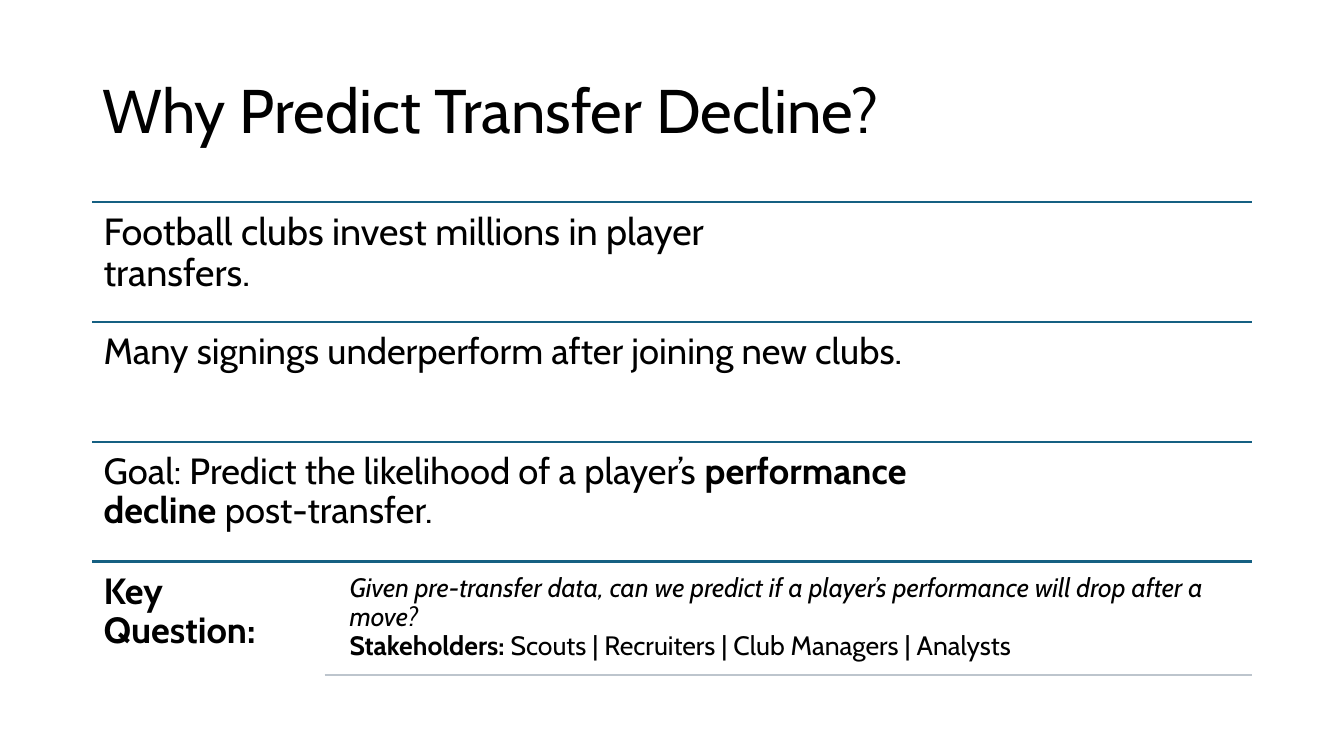
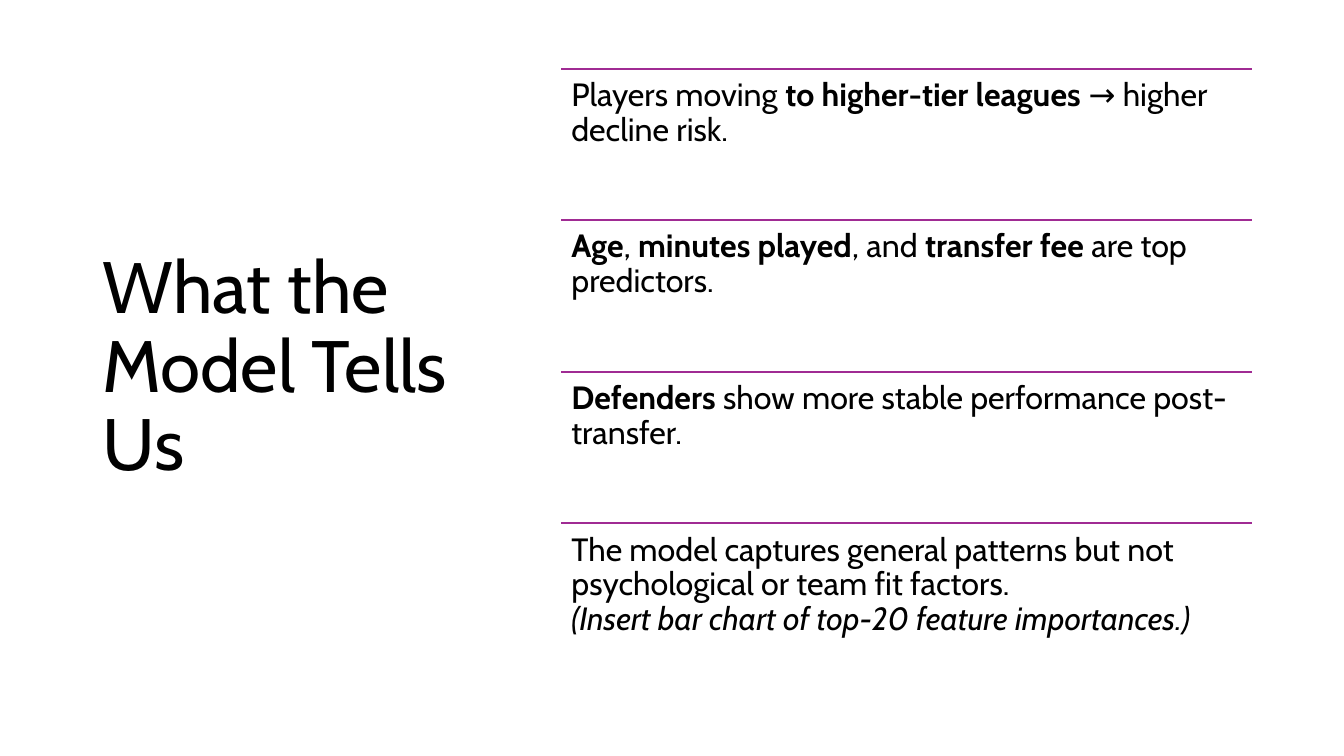
from dataclasses import dataclass

from lxml import etree
from pptx import Presentation
from pptx.dml.color import RGBColor
from pptx.enum import shapes, text
from pptx.oxml import ns
from pptx.util import Cm, Pt


@dataclass(frozen=True)
class Theme:
    font: str = "Cabin"
    ink: str = "000000"
    blue: str = "156082"
    plum: str = "A02B93"
    grey: str = "BDC5CD"
    rule: float = 1.5
    lead: float = 0.9
    head: int = 44
    big: int = 52
    first: int = 27
    row: int = 26
    note: int = 19
    item: int = 23
    left: float = 2.33
    right: float = 31.55


class Deck:
    """Builds slides of titles, rules and rich text in one style."""

    def __init__(self, theme):
        self.theme = theme
        self.prs = Presentation()
        self.prs.slide_width, self.prs.slide_height = Cm(33.87), Cm(19.05)
        self.slide = None

    def page(self, title, size, top, width, height):
        self.slide = self.prs.slides.add_slide(self.prs.slide_layouts[5])
        box = self.slide.shapes.title
        box.left, box.top = Cm(self.theme.left), Cm(top)
        box.width, box.height = Cm(width), Cm(height)
        self.fill(box.text_frame, [(title, "")], size, text.MSO_ANCHOR.MIDDLE)

    def fill(self, frame, runs, size, anchor=text.MSO_ANCHOR.TOP):
        frame.word_wrap = True
        frame.auto_size = text.MSO_AUTO_SIZE.NONE
        frame.vertical_anchor = anchor
        para = frame.paragraphs[0]
        para.alignment = text.PP_ALIGN.LEFT
        para.line_spacing = self.theme.lead
        for words, style in runs:
            if words == "\n":
                para.add_line_break()
                continue
            run = para.add_run()
            run.text = words
            font = run.font
            font.name, font.size = self.theme.font, Pt(size)
            font.color.rgb = RGBColor.from_string(self.theme.ink)
            font.bold, font.italic = style == "b", style == "i"

    def words(self, runs, size, left, top, width, height, pad):
        box = self.slide.shapes.add_textbox(Cm(left), Cm(top), Cm(width), Cm(height))
        frame = box.text_frame
        frame.margin_left = frame.margin_right = Cm(pad)
        frame.margin_top = frame.margin_bottom = Cm(pad)
        self.fill(frame, runs, size)

    def rule(self, left, top, color):
        line = self.slide.shapes.add_connector(
            shapes.MSO_CONNECTOR.STRAIGHT,
            Cm(left), Cm(top), Cm(self.theme.right), Cm(top))
        line.line.color.rgb = RGBColor.from_string(color)
        line.line.width = Pt(self.theme.rule)
        etree.SubElement(line._element.spPr, ns.qn("a:effectLst"))

    def rows(self, items, left, top, pitch, color, pad):
        for index, (runs, size, width) in enumerate(items):
            y = top + index * pitch
            self.rule(left, y, color)
            self.words(runs, size, left, y, width, pitch, pad)


def why(deck):
    look = deck.theme
    deck.page("Why Predict Transfer Decline?", look.head, 1.01, 29.22, 3.68)
    deck.rows([
        ([("Football clubs invest millions in player transfers.", "")],
         look.first, 18.57),
        ([("Many signings underperform after joining new clubs.", "")],
         look.row, 24.23),
        ([("Goal: Predict the likelihood of a player’s ", ""),
          ("performance decline", "b"), (" post-transfer.", "")],
         look.row, 22.99),
        ([("Key Question:", "b")], look.row, 5.84),
    ], look.left, 5.09, 3.02, look.blue, 0.28)
    deck.words([
        ("Given pre-transfer data, can we predict if a player’s performance "
         "will drop after a move?", "i"),
        ("\n", ""),
        ("Stakeholders:", "b"),
        (" Scouts | Recruiters | Club Managers | Analysts", ""),
    ], look.note, 8.61, 14.28, 22.94, 2.74, 0.2)
    deck.rule(8.18, 17.02, look.grey)


def tells(deck):
    look = deck.theme
    deck.page("What the Model Tells Us", look.big, 1.55, 9.37, 15.47)
    left = 14.15
    items = [
        [("Players moving ", ""), ("to higher-tier leagues", "b"),
         (" → higher decline risk.", "")],
        [("Age", "b"), (", ", ""), ("minutes played", "b"), (", and ", ""),
         ("transfer fee", "b"), (" are top predictors.", "")],
        [("Defenders", "b"),
         (" show more stable performance post-transfer.", "")],
        [("The model captures general patterns but not psychological or "
          "team fit factors.", ""),
         ("\n", ""),
         ("(Insert bar chart of top-20 feature importances.)", "i")],
    ]
    deck.rows([(runs, look.item, look.right - left) for runs in items],
              left, 1.73, 3.82, look.plum, 0.25)


def main():
    deck = Deck(Theme())
    why(deck)
    tells(deck)
    deck.prs.save("out.pptx")


if __name__ == "__main__":
    main()
